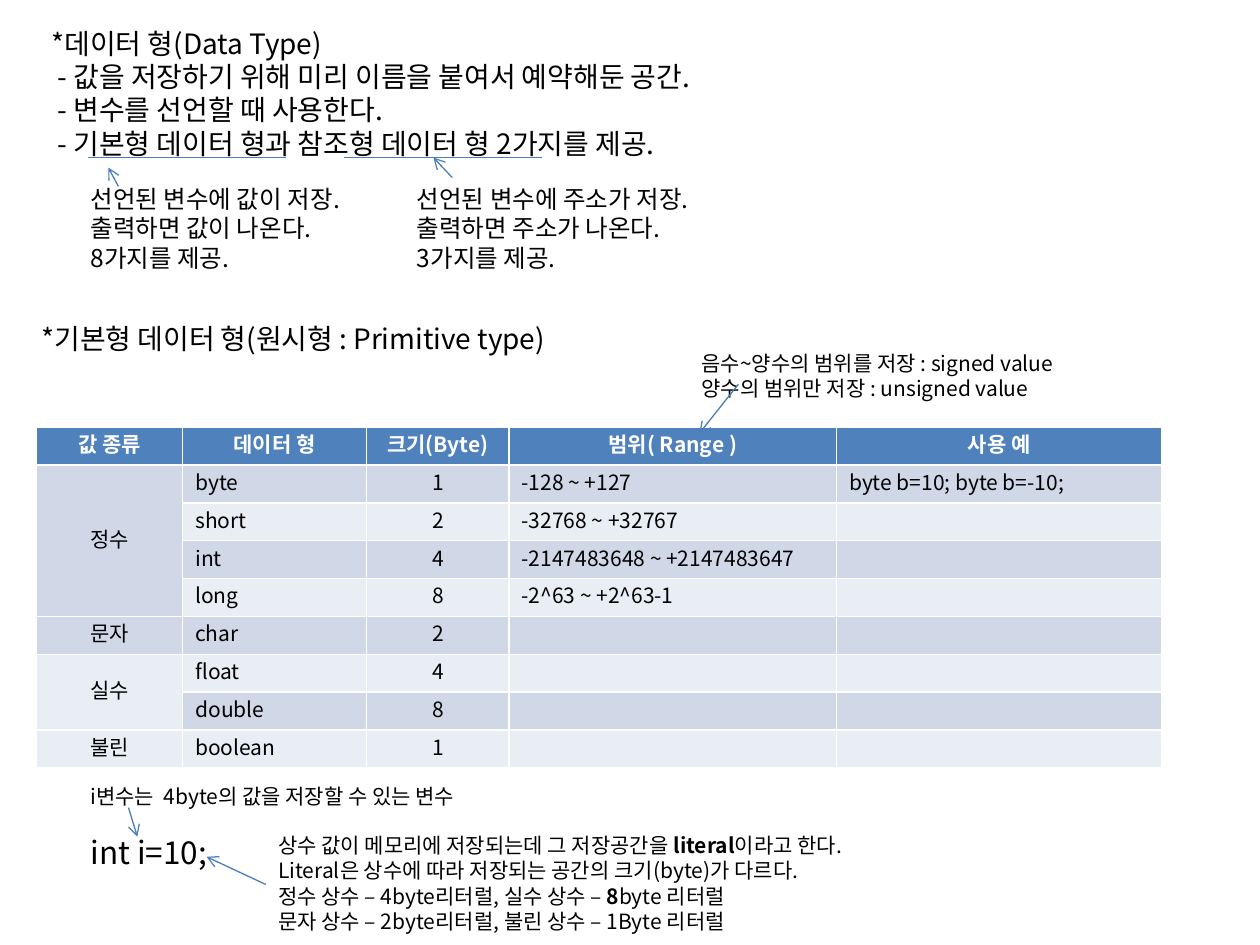
from lxml.etree import SubElement
from pptx import Presentation
from pptx.dml.color import RGBColor
from pptx.enum.shapes import MSO_CONNECTOR
from pptx.enum.text import MSO_ANCHOR, MSO_AUTO_SIZE, PP_ALIGN
from pptx.oxml.ns import qn
from pptx.util import Inches, Pt

FONT = "Noto Sans CJK KR"
BLACK, WHITE, LINE_BLUE = "000000", "FFFFFF", "4B7EBC"
HEADER_FILL, BAND_FILLS = "4F81BD", ("D0D8E8", "E9EDF4")
LINE_FACTOR = 1.2

# Content: title, then notes as (left, top, width, height, size, paragraphs)
# A paragraph is a list of runs; a run in a tuple is bold.
TITLE = (0.31, 0.16, 5.99, 0.37, 16, [["*데이터 형(Data Type)"]])
NOTES = [
    (0.31, 0.42, 5.99, 0.9, 16, [
        [" - 값을 저장하기 위해 미리 이름을 붙여서 예약해둔 공간."],
        [" - 변수를 선언할 때 사용한다."],
        [" - 기본형 데이터 형과 참조형 데이터 형 2가지를 제공."]]),
    (0.62, 1.41, 2.41, 0.81, 14, [
        ["선언된 변수에 값이 저장."],
        ["출력하면 값이 나온다."],
        ["8가지를 제공."]]),
    (3.21, 1.41, 2.61, 0.81, 14, [
        ["선언된 변수에 주소가 저장."],
        ["출력하면 주소가 나온다."],
        ["3가지를 제공."]]),
    (0.23, 2.5, 4.45, 0.37, 16, [["*기본형 데이터 형(원시형 : Primitive type)"]]),
    (5.47, 2.73, 3.24, 0.5, 12, [
        ["음수~양수의 범위를 저장 : signed value"],
        ["양수의 범위만 저장 : unsigned value"]]),
    (0.62, 6.56, 1.16, 0.4, 18, [["int i=10;"]]),
    (2.11, 6.56, 5.15, 0.91, 12, [
        ["상수 값이 메모리에 저장되는데 그 저장공간을 ", ("literal",), "이라고 한다."],
        ["Literal은 상수에 따라 저장되는 공간의 크기(byte)가 다르다."],
        ["정수 상수 – 4byte리터럴, 실수 상수 – ", ("8",), "byte 리터럴"],
        ["문자 상수 – 2byte리터럴, 불린 상수 – 1Byte 리터럴"]]),
    (0.62, 6.17, 3.44, 0.3, 12, [["i변수는  4byte의 값을 저장할 수 있는 변수"]]),
]

# Lines as (x1, y1, x2, y2)
UNDERLINES = [(0.7, 1.25, 2.27, 1.25), (2.73, 1.25, 4.3, 1.25)]
ARROWS = [
    (0.94, 1.48, 0.86, 1.33),
    (3.59, 1.41, 3.44, 1.25),
    (5.86, 3.05, 5.55, 3.44),
    (2.11, 7.02, 1.64, 6.8),
    (1.02, 6.41, 1.09, 6.64),
]

# Table: each kind of value with its types (type, bytes, range, example)
TABLE_LEFT, TABLE_TOP, ROW_HEIGHT, TABLE_SIZE = 0.29, 3.39, 0.3, 12
COLUMN_WIDTHS = [1.16, 1.46, 1.13, 2.6, 2.58]
HEADERS = ["값 종류", "데이터 형", "크기(Byte)", "범위( Range )", "사용 예"]
KINDS = [
    ("정수", [("byte", "1", "-128 ~ +127", "byte b=10; byte b=-10;"),
            ("short", "2", "-32768 ~ +32767", ""),
            ("int", "4", "-2147483648 ~ +2147483647", ""),
            ("long", "8", "-2^63 ~ +2^63-1", "")]),
    ("문자", [("char", "2", "", "")]),
    ("실수", [("float", "4", "", ""), ("double", "8", "", "")]),
    ("불린", [("boolean", "1", "", "")]),
]
CENTERED_COLUMNS = (0, 2)


def rgb(hex_color):
    return RGBColor.from_string(hex_color)


def write_runs(paragraph, runs, size, color=BLACK, align=PP_ALIGN.LEFT):
    paragraph.alignment = align
    paragraph.line_spacing = Pt(round(size * LINE_FACTOR, 1))
    for item in runs:
        bold = isinstance(item, tuple)
        run = paragraph.add_run()
        run.text = item[0] if bold else item
        font = run.font
        font.name, font.size, font.bold = FONT, Pt(size), bold
        font.color.rgb = rgb(color)
        SubElement(run._r.get_or_add_rPr(), qn("a:ea"), typeface=FONT)


def write_note(shape, left, top, width, height, size, paragraphs):
    shape.left, shape.top = Inches(left), Inches(top)
    shape.width, shape.height = Inches(width), Inches(height)
    frame = shape.text_frame
    frame.word_wrap = False
    frame.auto_size = MSO_AUTO_SIZE.SHAPE_TO_FIT_TEXT
    frame.vertical_anchor = MSO_ANCHOR.TOP
    for index, runs in enumerate(paragraphs):
        paragraph = frame.add_paragraph() if index else frame.paragraphs[0]
        write_runs(paragraph, runs, size)


def add_line(slide, ends, arrow=False):
    connector = slide.shapes.add_connector(
        MSO_CONNECTOR.STRAIGHT, *(Inches(value) for value in ends))
    connector.line.color.rgb = rgb(LINE_BLUE)
    connector.line.width = Pt(0.75)
    if arrow:
        SubElement(connector.line._get_or_add_ln(), qn("a:tailEnd"), type="arrow")
    SubElement(connector._element.spPr, qn("a:effectLst"))


def fill_cell(cell, text, fill, color=BLACK, bold=False, centered=False):
    cell.fill.solid()
    cell.fill.fore_color.rgb = rgb(fill)
    paragraph = cell.text_frame.paragraphs[0]
    runs = [(text,) if bold else text] if text else []
    write_runs(paragraph, runs, TABLE_SIZE, color,
               PP_ALIGN.CENTER if centered else PP_ALIGN.LEFT)
    if not text:  # an empty cell keeps the row at the table's text size
        SubElement(paragraph._p, qn("a:endParaRPr"), sz=str(TABLE_SIZE * 100))


def add_type_table(slide):
    row_count = 1 + sum(len(types) for _, types in KINDS)
    table = slide.shapes.add_table(
        row_count, len(HEADERS), Inches(TABLE_LEFT), Inches(TABLE_TOP),
        Inches(sum(COLUMN_WIDTHS)), Inches(ROW_HEIGHT * row_count)).table
    for column, width in zip(table.columns, COLUMN_WIDTHS):
        column.width = Inches(width)
    for column, header in enumerate(HEADERS):
        fill_cell(table.cell(0, column), header, HEADER_FILL, WHITE, True, True)

    row = 1
    for kind, types in KINDS:
        first_row = row
        for values in types:
            texts = (kind if row == first_row else "", *values)
            for column, text in enumerate(texts):
                fill_cell(table.cell(row, column), text, BAND_FILLS[(row - 1) % 2],
                          centered=column in CENTERED_COLUMNS)
            row += 1
        kind_cell = table.cell(first_row, 0)
        kind_cell.vertical_anchor = MSO_ANCHOR.MIDDLE
        if len(types) > 1:
            kind_cell.merge(table.cell(row - 1, 0))


def main():
    presentation = Presentation()
    presentation.slide_width, presentation.slide_height = Inches(10), Inches(7.5)
    slide = presentation.slides.add_slide(presentation.slide_layouts[5])

    # Title and notes
    write_note(slide.shapes.title, *TITLE)
    for note in NOTES:
        write_note(slide.shapes.add_textbox(0, 0, 0, 0), *note)

    # Table of primitive types
    add_type_table(slide)

    # Underlines and arrows
    for ends in UNDERLINES:
        add_line(slide, ends)
    for ends in ARROWS:
        add_line(slide, ends, arrow=True)

    presentation.save("out.pptx")


if __name__ == "__main__":
    main()
